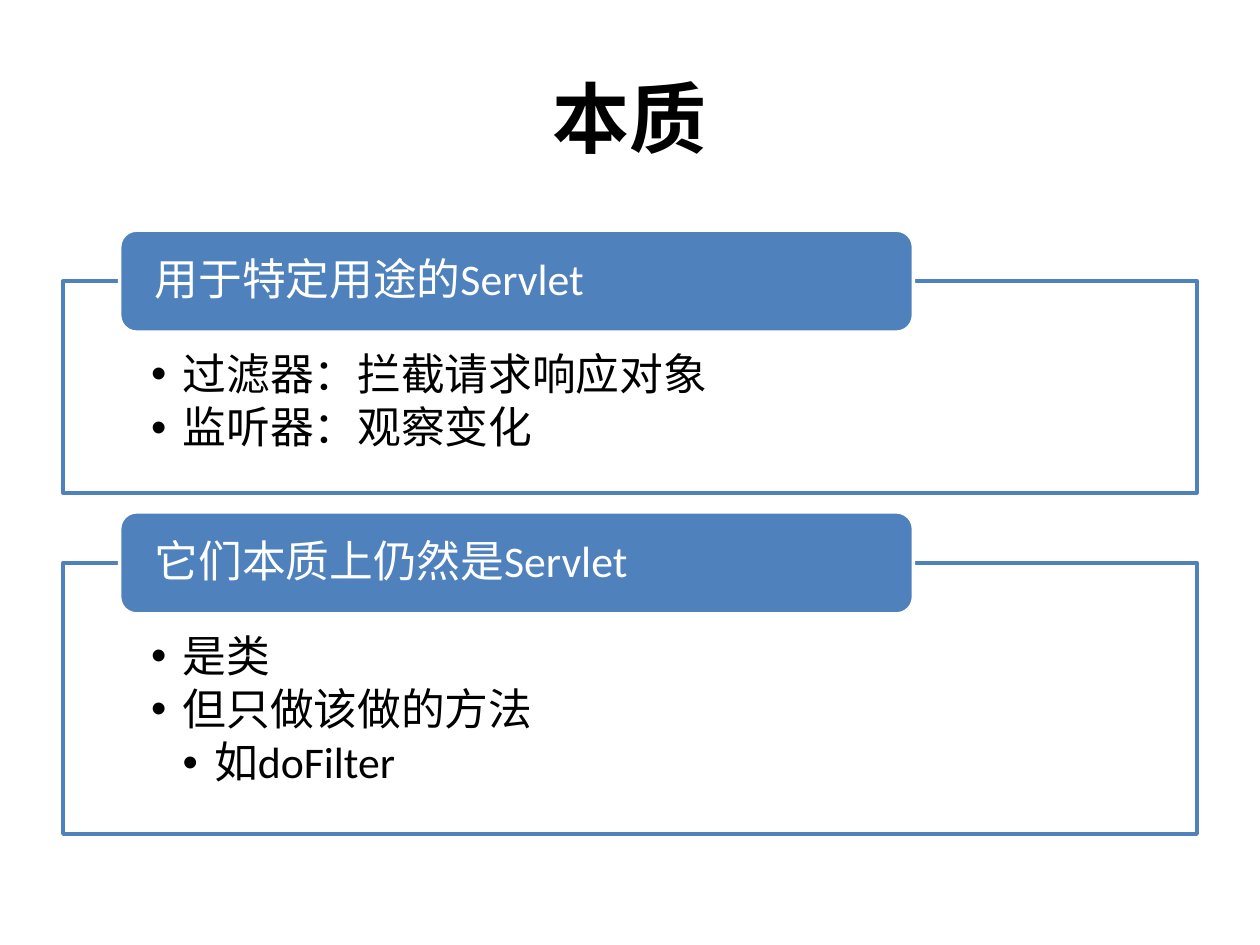
from lxml.etree import SubElement
from pptx import Presentation
from pptx.dml.color import RGBColor
from pptx.enum.shapes import MSO_SHAPE
from pptx.enum.text import MSO_ANCHOR, MSO_AUTO_SIZE, PP_ALIGN
from pptx.oxml.ns import qn
from pptx.util import Pt

COLORS = {"accent": "4F81BD", "paper": "FFFFFF", "ink": "000000"}
BODY_FONT = "Calibri"
TITLE_FONT = "Noto Sans CJK JP"
INDENT = 18
HEADER_HEIGHT = 58.3
HEADER_RISE = 29.1

SECTIONS = [
    # header, panel top, panel height, (level, item)
    ("用于特定用途的Servlet", 160.6, 121,
     [(0, "过滤器：拦截请求响应对象"), (0, "监听器：观察变化")]),
    ("它们本质上仍然是Servlet", 321.6, 155,
     [(0, "是类"), (0, "但只做该做的方法"), (1, "如doFilter")]),
]


def color(name):
    return RGBColor.from_string(COLORS[name])


def write(paragraph, text, size=25, font=BODY_FONT, ink="ink", bold=False,
          align=PP_ALIGN.LEFT, line=0.9, after=0):
    paragraph.alignment = align
    paragraph.line_spacing = line
    paragraph.space_before = Pt(0)
    paragraph.space_after = Pt(after)
    run = paragraph.add_run()
    run.text = text
    run.font.size = Pt(size)
    run.font.name = font
    run.font.bold = bold
    run.font.color.rgb = color(ink)
    SubElement(run.font._element, qn("a:ea"), typeface=font)


def add_bullet(paragraph, level):
    paragraph.level = level
    properties = paragraph._p.get_or_add_pPr()
    properties.set("marL", str(Pt(INDENT * (level + 1))))
    properties.set("indent", str(Pt(-INDENT)))
    SubElement(properties, qn("a:buFont"), typeface="Arial")
    SubElement(properties, qn("a:buChar"), char="•")


def place(shape, left, top, width, height):
    shape.left, shape.top = Pt(left), Pt(top)
    shape.width, shape.height = Pt(width), Pt(height)


def paint(shape, fill, line):
    shape.fill.solid()
    shape.fill.fore_color.rgb = color(fill)
    shape.line.color.rgb = color(line)
    shape.line.width = Pt(2)


def set_frame(frame, anchor, left=7.2, top=3.6, right=7.2, bottom=3.6):
    frame.word_wrap = True
    frame.auto_size = MSO_AUTO_SIZE.NONE
    frame.vertical_anchor = anchor
    frame.margin_left, frame.margin_top = Pt(left), Pt(top)
    frame.margin_right, frame.margin_bottom = Pt(right), Pt(bottom)
    return frame


def build_title(title, text, box):
    place(title, *box)
    frame = set_frame(title.text_frame, MSO_ANCHOR.MIDDLE)
    write(frame.paragraphs[0], text, size=44, font=TITLE_FONT, bold=True,
          align=PP_ALIGN.CENTER, line=1.0)


def build_section(slide, panel, heading, items, box):
    left, top, width, height = box

    # Outlined panel with its list
    place(panel, *box)
    paint(panel, "paper", "accent")
    frame = set_frame(panel.text_frame, MSO_ANCHOR.TOP, 50.4, 41, 50.4, 13.7)
    for index, (level, item) in enumerate(items):
        paragraph = frame.paragraphs[0] if index == 0 else frame.add_paragraph()
        write(paragraph, item, after=3.5)
        add_bullet(paragraph, level)

    # Header tab over the top edge
    header = slide.shapes.add_shape(
        MSO_SHAPE.ROUNDED_RECTANGLE, Pt(left + width * 0.05),
        Pt(top - HEADER_RISE), Pt(width * 0.7), Pt(HEADER_HEIGHT))
    header.shadow.inherit = False
    paint(header, "accent", "paper")
    frame = set_frame(header.text_frame, MSO_ANCHOR.MIDDLE, 17.2, 0, 17.2, 0)
    write(frame.paragraphs[0], heading, ink="paper")


deck = Presentation()
deck.slide_width, deck.slide_height = Pt(720), Pt(540)
slide = deck.slides.add_slide(deck.slide_layouts.get_by_name("Two Content"))
title, *panels = list(slide.placeholders)[:3]

build_title(title, "本质", (36, 21.6, 648, 90))
for panel, (heading, top, height, items) in zip(panels, SECTIONS):
    build_section(slide, panel, heading, items, (36, top, 648, height))

deck.save("out.pptx")
